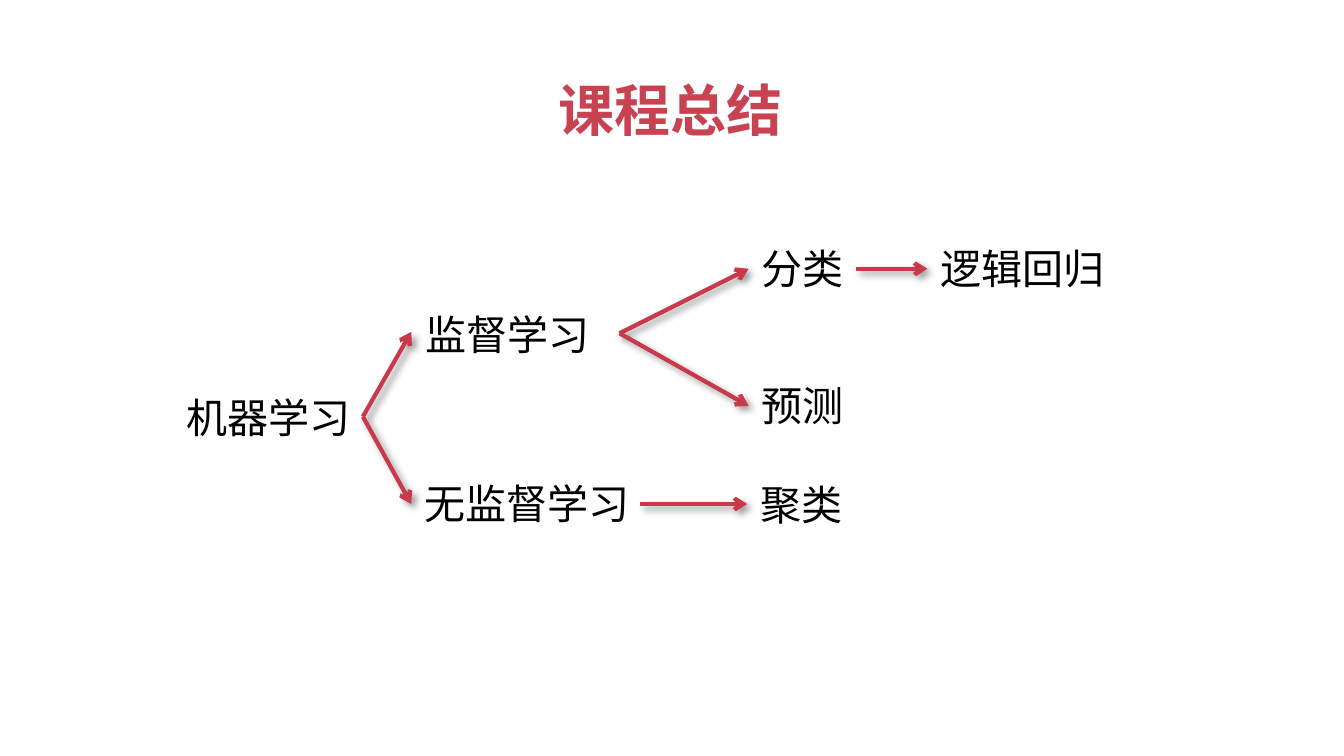
from lxml import etree
from pptx import Presentation
from pptx.dml.color import RGBColor
from pptx.enum.shapes import MSO_CONNECTOR
from pptx.enum.text import MSO_ANCHOR, MSO_AUTO_SIZE, PP_ALIGN
from pptx.oxml import parse_xml
from pptx.oxml.ns import qn
from pptx.util import Inches, Pt

STRAIGHT = MSO_CONNECTOR.STRAIGHT
TOP = MSO_ANCHOR.TOP
FIT_SHAPE = MSO_AUTO_SIZE.SHAPE_TO_FIT_TEXT
LEFT, CENTER = PP_ALIGN.LEFT, PP_ALIGN.CENTER

FONT = "Noto Sans CJK SC"
TITLE = "课程总结"
TITLE_COLOR, TEXT_COLOR, ARROW_COLOR = "C94251", "000000", "C9394A"
TOPIC_HEIGHT = 0.47

# name: (left, top, width)
TOPICS = {
    "机器学习": (1.29, 2.87, 1.67),
    "监督学习": (3.07, 2.25, 1.54),
    "无监督学习": (3.06, 3.51, 1.9),
    "分类": (5.57, 1.76, 0.94),
    "预测": (5.57, 2.78, 1.34),
    "逻辑回归": (6.9, 1.76, 1.81),
    "聚类": (5.56, 3.52, 0.82),
}
ARROWS = [
    ((2.7, 3.1), (3.06, 2.47)),
    ((2.7, 3.1), (3.06, 3.75)),
    ((4.61, 2.48), (5.57, 2)),
    ((4.61, 2.48), (5.57, 3.02)),
    ((6.37, 2), (6.9, 2)),
    ((4.76, 3.75), (5.56, 3.75)),
]
SHADOW = (
    '<a:effectLst xmlns:a="http://schemas.openxmlformats.org/drawingml/2006/main">'
    f'<a:outerShdw blurRad="{Pt(4)}" dist="{Pt(3)}" dir="2700000" rotWithShape="0">'
    '<a:srgbClr val="000000"><a:alpha val="40000"/></a:srgbClr>'
    "</a:outerShdw></a:effectLst>"
)


def color(value):
    return RGBColor.from_string(value)


def write(box, text, size, value, align=LEFT, bold=False, wrap=True):
    frame = box.text_frame
    frame.text = text
    frame.word_wrap = wrap
    frame.auto_size = FIT_SHAPE
    frame.vertical_anchor = TOP
    para = frame.paragraphs[0]
    para.alignment = align
    span = para.runs[0]
    span.font.size = Pt(size)
    span.font.bold = bold
    span.font.color.rgb = color(value)
    span.font.name = FONT
    etree.SubElement(span.font._element, qn("a:ea"), typeface=FONT)


def add_arrow(page, start, end):
    arrow = page.shapes.add_connector(
        STRAIGHT, *(Inches(value) for value in start + end)
    )
    arrow.line.color.rgb = color(ARROW_COLOR)
    arrow.line.width = Pt(2.25)
    etree.SubElement(arrow.line._get_or_add_ln(), qn("a:tailEnd"), type="arrow")
    arrow._element.spPr.append(parse_xml(SHADOW))


def main():
    deck = Presentation()
    deck.slide_width = Inches(10)
    deck.slide_height = deck.slide_width * 9 // 16
    page = deck.slides.add_slide(deck.slide_layouts[5])

    title = page.shapes.title
    title.left, title.top = Inches(4.05), Inches(0.51)
    title.width, title.height = Inches(1.88), Inches(0.61)
    write(title, TITLE, 30, TITLE_COLOR, CENTER, bold=True, wrap=False)

    for name, (left, top, width) in TOPICS.items():
        box = page.shapes.add_textbox(
            Inches(left), Inches(top), Inches(width), Inches(TOPIC_HEIGHT)
        )
        write(box, name, 22, TEXT_COLOR)

    for start, end in ARROWS:
        add_arrow(page, start, end)

    deck.save("out.pptx")


if __name__ == "__main__":
    main()
